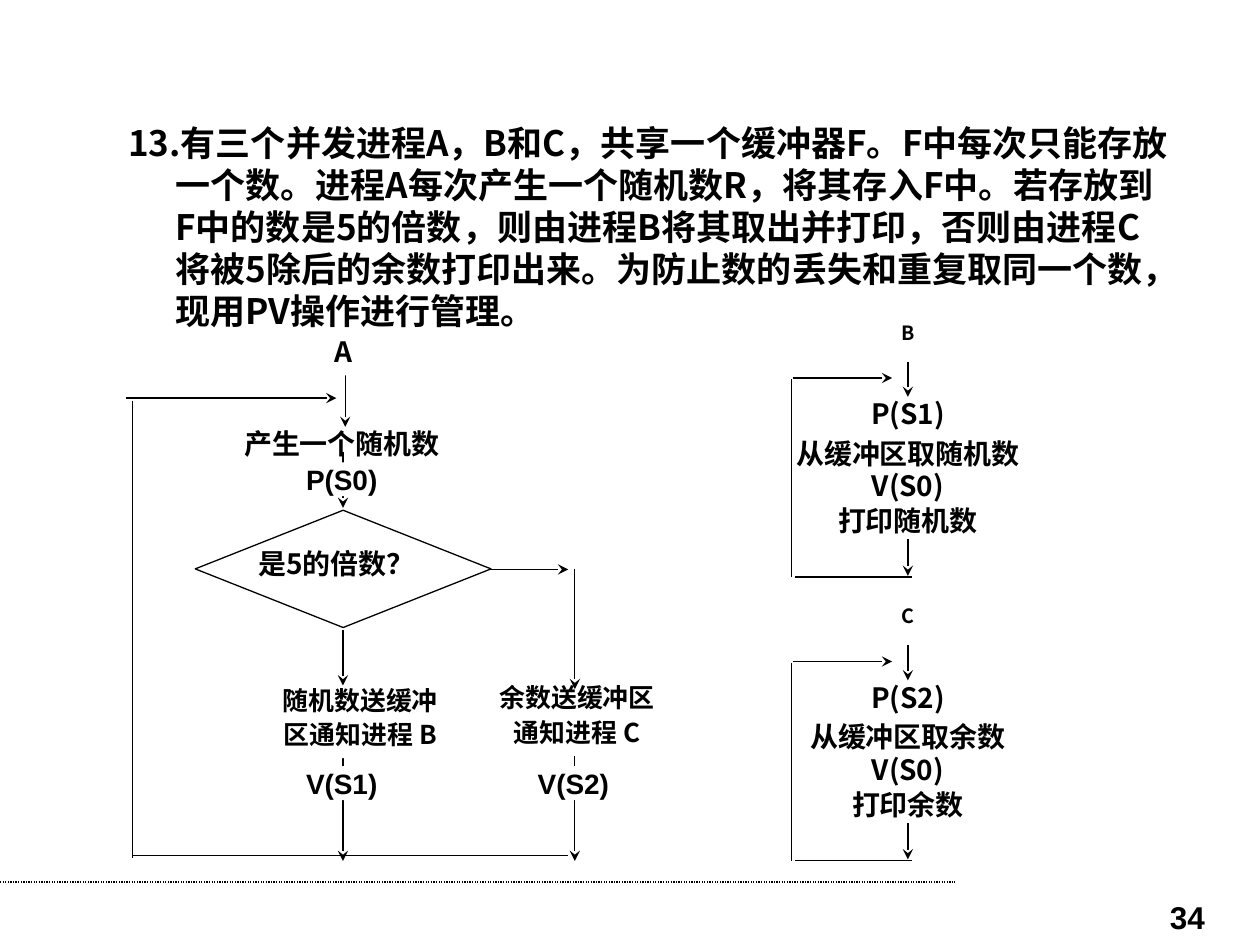
from dataclasses import dataclass

from lxml.etree import SubElement
from pptx import Presentation
from pptx.dml.color import RGBColor
from pptx.enum.dml import MSO_LINE
from pptx.enum.shapes import MSO_CONNECTOR, MSO_SHAPE
from pptx.enum.text import MSO_ANCHOR, MSO_AUTO_SIZE, PP_ALIGN
from pptx.oxml.ns import qn
from pptx.util import Pt


@dataclass(frozen=True)
class Theme:
    ink: RGBColor = RGBColor(0, 0, 0)
    paper: RGBColor = RGBColor(255, 255, 255)
    chinese: str = "Noto Sans CJK SC"
    latin: str = "Arial"
    question: float = 20
    page: float = 18
    step: float = 16
    note: float = 14.8
    process: float = 11.2
    line: float = 0.75
    hanging: float = 27


THEME = Theme()
QUESTION = (
    "13.有三个并发进程A，B和C，共享一个缓冲器F。F中每次只能存放一个数。"
    "进程A每次产生一个随机数R，将其存入F中。若存放到F中的数是5的倍数，"
    "则由进程B将其取出并打印，否则由进程C将被5除后的余数打印出来。"
    "为防止数的丢失和重复取同一个数，现用PV操作进行管理。"
)


def write_text(shape, text, size=THEME.step, font=THEME.chinese, align=PP_ALIGN.CENTER,
               spacing=None, hanging=0, margins=(0, 0)):
    """Fill a shape with one paragraph per line of text; margins are (side, top)."""
    frame = shape.text_frame
    frame.word_wrap = True
    frame.auto_size = MSO_AUTO_SIZE.NONE
    frame.vertical_anchor = MSO_ANCHOR.TOP
    frame.margin_left = frame.margin_right = Pt(margins[0])
    frame.margin_top = frame.margin_bottom = Pt(margins[1])
    for index, line in enumerate(text.split("\n")):
        paragraph = frame.add_paragraph() if index else frame.paragraphs[0]
        paragraph.alignment = align
        paragraph.space_before = Pt(4 if index else 0)
        if spacing:
            paragraph.line_spacing = spacing
        properties = paragraph._p.get_or_add_pPr()
        properties.set("marL", str(Pt(hanging)))
        properties.set("indent", str(-Pt(hanging)))
        SubElement(properties, qn("a:buNone"))
        run = paragraph.add_run()
        run.text = line
        run.font.name = font
        run.font.size = Pt(size)
        run.font.bold = True
        run.font.color.rgb = THEME.ink
        east_asian = SubElement(run._r.get_or_add_rPr(), qn("a:ea"))
        east_asian.set("typeface", font)


def add_text(slide, left, top, width, height, text, **text_format):
    box = slide.shapes.add_textbox(Pt(left), Pt(top), Pt(width), Pt(height))
    write_text(box, text, **text_format)


def add_box(slide, left, top, width, height, text, **text_format):
    """Add a white box, which hides the lines behind it."""
    box = slide.shapes.add_shape(MSO_SHAPE.RECTANGLE, Pt(left), Pt(top), Pt(width), Pt(height))
    box.shadow.inherit = False
    box.fill.solid()
    box.fill.fore_color.rgb = THEME.paper
    box.line.fill.background()
    write_text(box, text, **text_format)


def add_line(slide, start_x, start_y, end_x, end_y, arrow=False):
    line = slide.shapes.add_connector(
        MSO_CONNECTOR.STRAIGHT, Pt(start_x), Pt(start_y), Pt(end_x), Pt(end_y))
    line.line.color.rgb = THEME.ink
    line.line.width = Pt(THEME.line)
    if arrow:
        SubElement(line.line._ln, qn("a:tailEnd")).set("type", "stealth")
    SubElement(line._element.spPr, qn("a:effectLst"))
    return line


def add_decision(slide, left, top, width, height):
    diamond = slide.shapes.add_shape(
        MSO_SHAPE.FLOWCHART_DECISION, Pt(left), Pt(top), Pt(width), Pt(height))
    diamond.shadow.inherit = False
    diamond.fill.solid()
    diamond.fill.fore_color.rgb = THEME.paper
    diamond.line.color.rgb = THEME.ink
    diamond.line.width = Pt(THEME.line)


def add_question(slide):
    slide.shapes.title._element.getparent().remove(slide.shapes.title._element)
    body = slide.placeholders[1]
    body.left, body.top, body.width, body.height = Pt(66), Pt(66), Pt(612), Pt(414)
    write_text(body, QUESTION, size=THEME.question, align=PP_ALIGN.LEFT,
               hanging=THEME.hanging, margins=(7.2, 3.6))


def add_producer(slide):
    """Draw process A, with a main column and a branch for remainders."""
    main, branch, loop = 196, 328.5, 75.6
    add_line(slide, branch, 403, branch, 492, arrow=True)
    add_box(slide, 270.7, 391.7, 118, 40.3, "余数送缓冲区\n通知进程 C",
            size=THEME.note, spacing=0.9)
    add_line(slide, 197.3, 212.4, 197.3, 244, arrow=True)
    add_line(slide, main, 403, main, 492, arrow=True)
    add_box(slide, 88, 192.2, 216.7, 22.3, "A", spacing=0.96)
    add_box(slide, 147.6, 393, 116.6, 40.3, "随机数送缓冲\n区通知进程 B",
            size=THEME.note, spacing=0.9)
    add_box(slide, 87, 244, 216.7, 31.7, "产生一个随机数")
    add_line(slide, loop, 489, 324.7, 489)
    add_line(slide, 72, 227.5, 192.2, 227.5, arrow=True)
    add_line(slide, loop, 229, loop, 490.3)
    add_decision(slide, 111.6, 291.6, 169, 67)
    add_text(slide, 147.6, 312.5, 96.5, 21.6, "是5的倍数？",
             align=PP_ALIGN.JUSTIFY, hanging=THEME.hanging)
    add_line(slide, main, 258.5, main, 290.2, arrow=True)
    add_line(slide, main, 360, main, 391.7, arrow=True)
    add_line(slide, 280, 325.4, 324.7, 325.4, arrow=True)
    add_line(slide, branch, 325.4, branch, 393.8, arrow=True)


def add_consumer(slide, top, process, wait, fetch, output):
    """Draw the loop of one process that takes numbers from the buffer."""
    left, width, height = 437.8, 162, 20.2
    center, loop = left + width / 2, 452.2
    add_line(slide, center, top + 20.8, center, top + 41, arrow=True)
    add_box(slide, left, top + 82, width, height, "V(S0)")
    add_box(slide, left, top + 102.2, width, height, output)
    add_line(slide, center, top + 122.4, center, top + 143.3, arrow=True)
    add_box(slide, left, top, width, 14.4, process, size=THEME.process, spacing=0.8)
    add_text(slide, left, top + 63.4, width, height, fetch)
    add_text(slide, left, top + 41, width, height, wait)
    add_line(slide, 454.3, top + 144, 521.3, top + 144)
    add_line(slide, loop, top + 31, loop, top + 144)
    add_line(slide, loop + 0.7, top + 30.2, 509.8, top + 30.2, arrow=True)


def add_semaphores(slide):
    for left, top, text in ((167.8, 264.2, "P(S0)"), (167.8, 437.8, "V(S1)"),
                            (300.2, 437.8, "V(S2)")):
        add_box(slide, left, top, 59.8, 19.4, text, font=THEME.latin,
                align=PP_ALIGN.LEFT, margins=(7.2, 0))


def main():
    presentation = Presentation()
    presentation.slide_width, presentation.slide_height = Pt(720), Pt(540)
    slide = presentation.slides.add_slide(presentation.slide_layouts[1])
    add_question(slide)
    footer_rule = add_line(slide, 0, 504, 545.8, 504)
    footer_rule.line.dash_style = MSO_LINE.ROUND_DOT
    add_text(slide, 527.8, 509.8, 167.8, 19.4, "34", size=THEME.page, font=THEME.latin,
             align=PP_ALIGN.RIGHT, margins=(7.2, 3.6))
    add_consumer(slide, 185.8, "B", "P(S1)", "从缓冲区取随机数", "打印随机数")
    add_producer(slide)
    add_consumer(slide, 347.8, "C", "P(S2)", "从缓冲区取余数", "打印余数")
    add_semaphores(slide)
    presentation.save("out.pptx")


if __name__ == "__main__":
    main()
